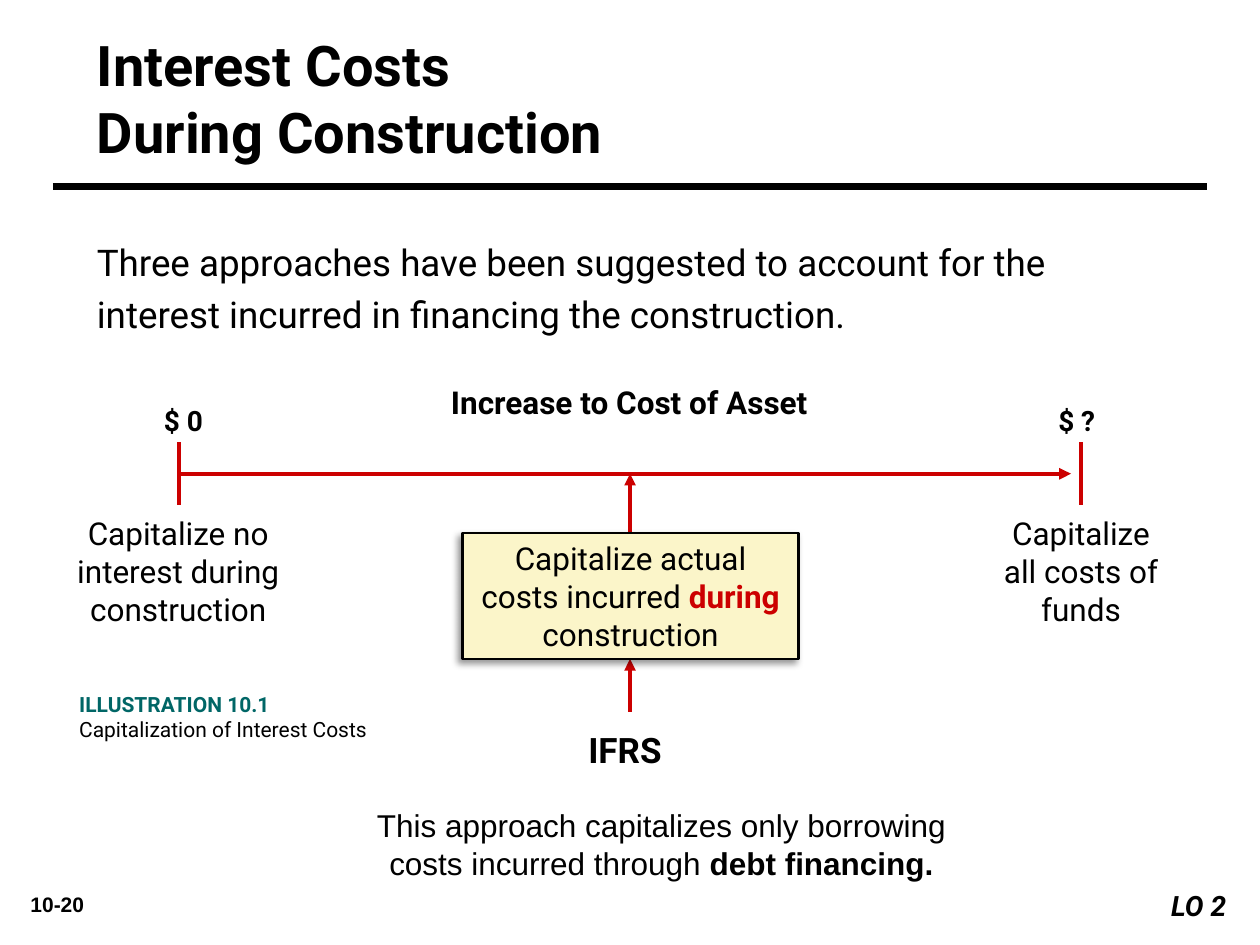
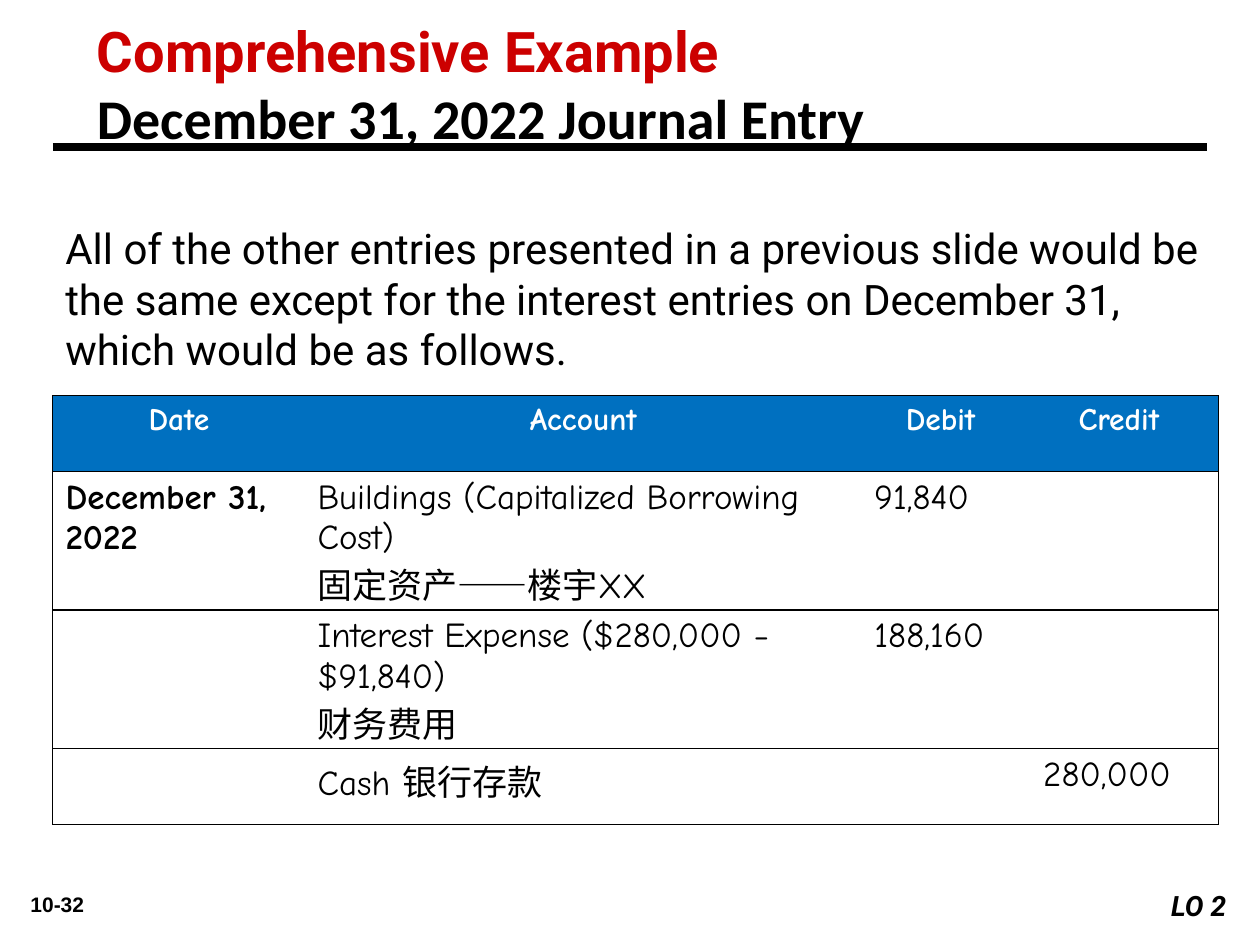
from lxml.etree import SubElement
from pptx import Presentation
from pptx.dml.color import RGBColor
from pptx.enum.shapes import MSO_CONNECTOR, MSO_SHAPE
from pptx.enum.text import MSO_ANCHOR, PP_ALIGN
from pptx.oxml.ns import qn
from pptx.util import Pt

PX = 9144  # 100 px to the inch
BLACK, WHITE, RED, TEAL = "000000", "FFFFFF", "CC0000", "006666"
CREAM, BLUE = "FBF5C9", "0070C0"
LEFT, CENTER, RIGHT = PP_ALIGN.LEFT, PP_ALIGN.CENTER, PP_ALIGN.RIGHT


def rgb(code):
    return RGBColor.from_string(code)


def emu(lengths):
    return [length * PX for length in lengths]


def style_font(font, size=None, name=None, color=None, bold=None, italic=None):
    """Set only the properties that are given."""
    if size:
        font.size = Pt(size)
    if name:
        font.name = name
    if color:
        font.color.rgb = rgb(color)
    if bold is not None:
        font.bold = bold
    if italic is not None:
        font.italic = italic


class Deck:
    def __init__(self):
        self.presentation = Presentation()
        self.presentation.slide_width, self.presentation.slide_height = emu((1000, 750))
        self.slide = None

    def new_slide(self, number, rule_y, title_box, title_lines):
        """Add a slide with its rule, title, page number and objective tag."""
        self.slide = self.presentation.slides.add_slide(self.presentation.slide_layouts[6])
        self.line((42, rule_y), (958, rule_y), BLACK, 4.5)
        self.text(title_box, title_lines, size=32, bold=True)
        self.text((8, 703, 75, 30), [number], CENTER, size=12, name="Arial", bold=True)
        self.box((900, 700, 83, 37), WHITE, ["LO 2"], RIGHT, size=16, bold=True, italic=True)

    def fill_text(self, frame, paragraphs, align=LEFT, spacing=None, **style):
        """A paragraph is a text, a (text, style) pair or a list of such pairs."""
        frame.word_wrap = True
        base = {"name": "Roboto", "color": BLACK, **style}
        for index, content in enumerate(paragraphs):
            paragraph = frame.add_paragraph() if index else frame.paragraphs[0]
            paragraph.alignment = align
            if spacing:
                paragraph.line_spacing = spacing
            if isinstance(content, tuple):
                content, own = content
                style_font(paragraph.font, **{**base, **own})
            else:
                style_font(paragraph.font, **base)
            if isinstance(content, str):
                content = [(content, {})]
            for words, own in content:
                run = paragraph.add_run()
                run.text = words
                if own:
                    style_font(run.font, **own)

    def text(self, bounds, paragraphs, align=LEFT, **style):
        frame = self.slide.shapes.add_textbox(*emu(bounds)).text_frame
        self.fill_text(frame, paragraphs, align, **style)

    def box(self, bounds, fill, paragraphs, align=CENTER, border=None, **style):
        shape = self.slide.shapes.add_shape(MSO_SHAPE.RECTANGLE, *emu(bounds))
        shape.shadow.inherit = False
        shape.fill.solid()
        shape.fill.fore_color.rgb = rgb(fill)
        if border:
            shape.line.color.rgb = rgb(border)
            shape.line.width = Pt(1.5)
        else:
            shape.line.fill.background()
        shape.text_frame.vertical_anchor = MSO_ANCHOR.MIDDLE
        self.fill_text(shape.text_frame, paragraphs, align, **style)
        return shape

    def drop_shadow(self, shape):
        effects = shape._element.spPr.find(qn("a:effectLst"))
        shadow = SubElement(effects, qn("a:outerShdw"), blurRad=str(Pt(4)),
                            dist=str(Pt(3)), dir="8100000", rotWithShape="0")
        color = SubElement(shadow, qn("a:srgbClr"), val=BLACK)
        SubElement(color, qn("a:alpha"), val="40000")

    def line(self, start, end, color=RED, width=2.25, arrow=False):
        connector = self.slide.shapes.add_connector(
            MSO_CONNECTOR.STRAIGHT, *emu(start + end))
        connector.line.color.rgb = rgb(color)
        connector.line.width = Pt(width)
        if arrow:
            SubElement(connector.line._get_or_add_ln(), qn("a:tailEnd"), type="triangle")
        SubElement(connector._element.spPr, qn("a:effectLst"))

    def cell_borders(self, cell, visible):
        """Draw the sides named in visible (L, R, T, B) and clear the others."""
        properties = cell._tc.get_or_add_tcPr()
        for index, side in enumerate("LRTB"):
            border = properties.makeelement(qn(f"a:ln{side}"), {"w": str(Pt(0.75))})
            if side in visible:
                fill = SubElement(border, qn("a:solidFill"))
                SubElement(fill, qn("a:srgbClr"), val=BLACK)
            else:
                SubElement(border, qn("a:noFill"))
            properties.insert(index, border)

    def table(self, left, top, widths, heights, rows):
        """Fill a table whose first row is the header and first column is bold."""
        bounds = emu((left, top, sum(widths), sum(heights)))
        table = self.slide.shapes.add_table(len(rows), len(widths), *bounds).table
        table.first_row = table.horz_banding = False
        for column, width in zip(table.columns, emu(widths)):
            column.width = width
        for row, height in zip(table.rows, emu(heights)):
            row.height = height
        last = len(widths) - 1
        for r, row in enumerate(rows):
            for c, paragraphs in enumerate(row):
                cell = table.cell(r, c)
                if r == 0:
                    cell.fill.solid()
                    cell.fill.fore_color.rgb = rgb(BLUE)
                    look = {"align": CENTER, "size": 18, "color": WHITE, "bold": True}
                else:
                    cell.fill.background()
                    look = {"size": 20, "bold": c == 0}
                self.fill_text(cell.text_frame, paragraphs, name="Comic Neue", **look)
                self.cell_borders(cell, "TB" + "L" * (c == 0) + "R" * (c == last))
        return table


def interest_costs(deck):
    deck.new_slide("10-20", 148, (67, 19, 525, 61),
                   ["Interest Costs", "During Construction"])
    deck.text((67, 178, 860, 95),
              ["Three approaches have been suggested to account for the interest "
               "incurred in financing the construction."], spacing=1.2, size=21)

    deck.text((333, 299, 333, 40), ["Increase to Cost of Asset"], CENTER, size=18, bold=True)
    deck.line((142, 376), (850, 376), arrow=True)
    for tick_x, label_x, amount in ((142, 108, "$ 0"), (858, 817, "$ ?")):
        deck.line((tick_x, 351), (tick_x, 401))
        deck.text((label_x, 315, 75, 37), [amount], CENTER, size=16, bold=True)
    for left, width, approach in (
            (50, 183, "Capitalize no interest during construction"),
            (783, 150, "Capitalize all costs of funds")):
        deck.text((left, 403, width, 101), [approach], CENTER, size=18)

    for start_y, end_y in ((426, 376), (565, 523)):
        deck.line((500, start_y), (500, end_y), arrow=True)
    actual_costs = deck.box(
        (367, 423, 267, 100), CREAM,
        [[("Capitalize actual costs incurred ", {}),
          ("during", {"color": RED, "bold": True}),
          (" construction", {})]], border=BLACK, size=18)
    deck.drop_shadow(actual_costs)

    deck.text((442, 573, 108, 44), ["IFRS"], CENTER, size=20, bold=True)
    deck.text((53, 544, 292, 50),
              [("ILLUSTRATION 10.1", {"color": TEAL, "bold": True}),
               "Capitalization of Interest Costs"], size=12)
    deck.text((275, 635, 500, 71),
              [[("This approach capitalizes only borrowing costs incurred through ", {}),
                ("debt financing.", {"bold": True})]], CENTER, size=18, name="Arial")


def journal_entry(deck):
    deck.new_slide("10-32", 117, (67, 8, 900, 61),
                   [("Comprehensive Example", {"color": RED}),
                    ("December 31, 2022 Journal Entry", {"name": "Calibri"})])
    deck.text((42, 172, 933, 120),
              ["All of the other entries presented in a previous slide would be the same "
               "except for the interest entries on December 31, which would be as follows."],
              size=24)
    entries = deck.table(42, 314, (200, 442, 125, 158), (60, 110, 110, 60), [
        [["Date"], ["Account"], ["Debit"], ["Credit"]],
        [["December 31, 2022"],
         ["Buildings (Capitalized Borrowing Cost)", "固定资产——楼宇XX"], ["91,840"], []],
        [[], ["Interest Expense ($280,000 − $91,840)", "财务费用"], ["188,160"], []],
        [[], ["Cash 银行存款"], [], ["280,000"]],
    ])
    entries.cell(3, 3).margin_left = 19 * PX


def main():
    deck = Deck()
    interest_costs(deck)
    journal_entry(deck)
    deck.presentation.save("out.pptx")


if __name__ == "__main__":
    main()
